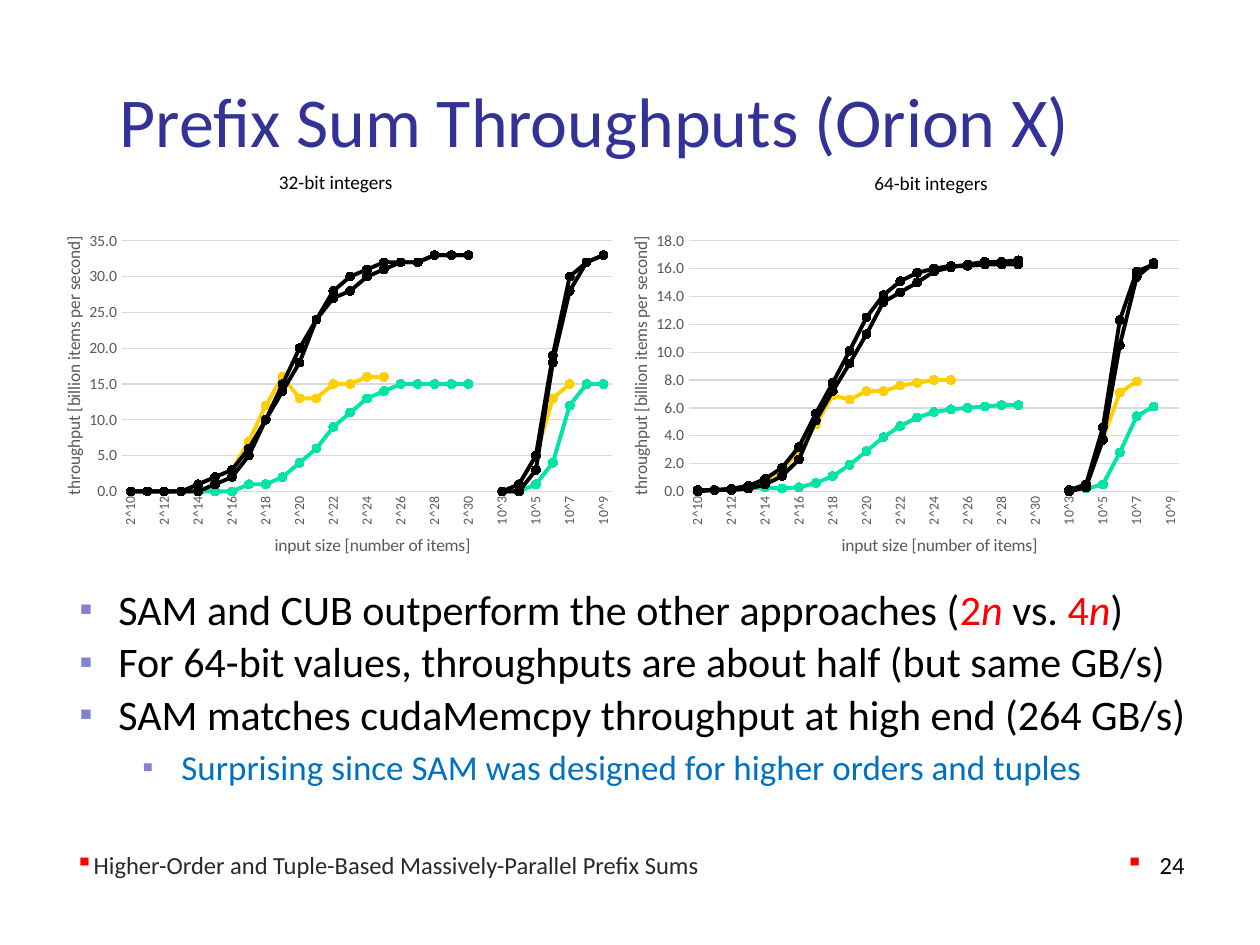
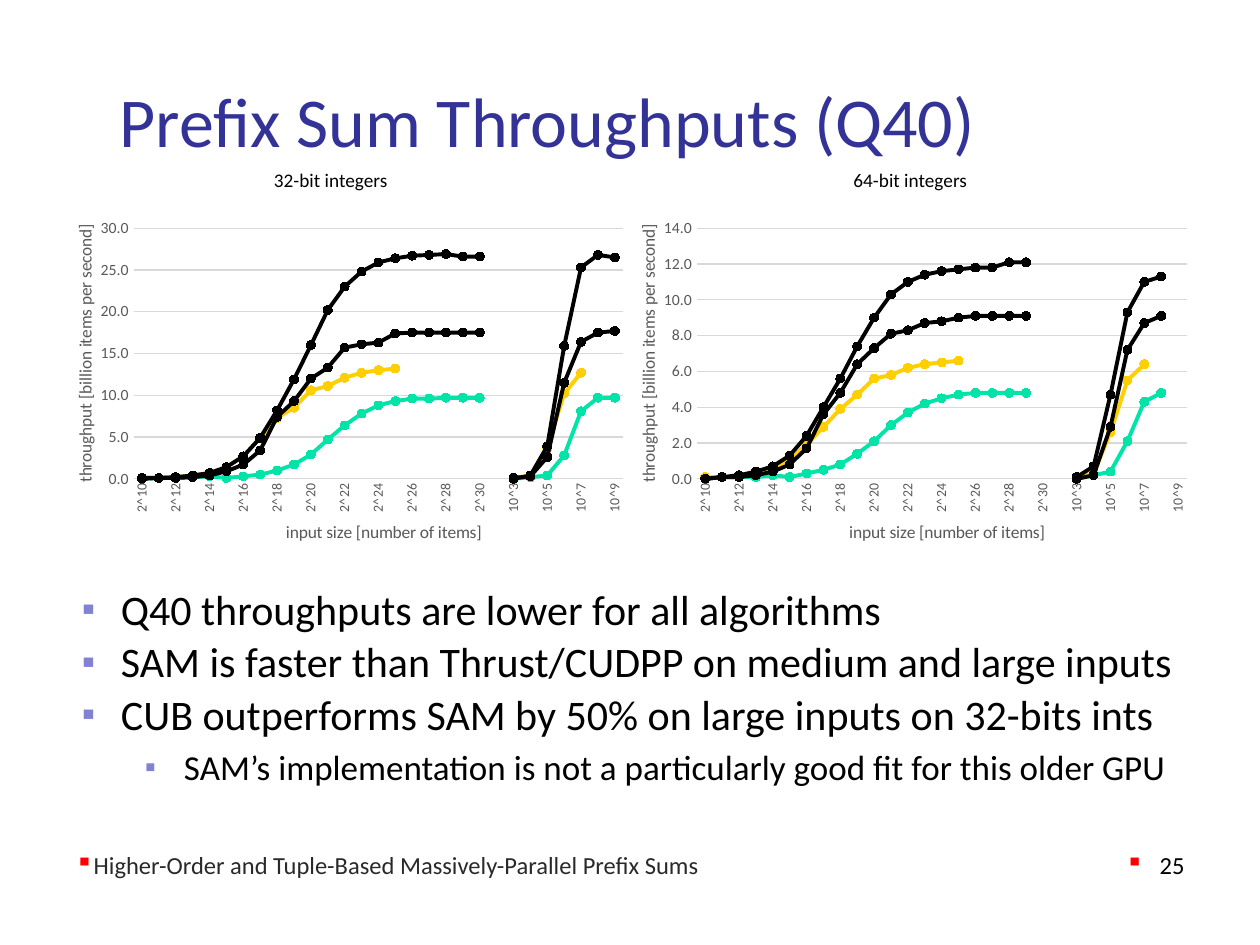
from pptx import Presentation
from pptx.chart.data import CategoryChartData
from pptx.dml.color import RGBColor
from pptx.enum.chart import XL_CHART_TYPE as ChartType, XL_MARKER_STYLE as Marker, XL_TICK_MARK as Tick
from pptx.enum.text import MSO_ANCHOR as Anchor, MSO_AUTO_SIZE as AutoSize, PP_ALIGN as Align
from pptx.oxml.ns import qn
from pptx.oxml.xmlchemy import OxmlElement
from pptx.util import Inches, Pt

FONT = "Calibri"
TITLE, BLACK, FOOTER = "333397", "000000", "292929"
RED, BLUE, BULLET = "FF0000", "0070C0", "8282D4"
AXIS_TEXT, GRID = "595959", "D9D9D9"
FOOTER_TEXT = "Higher-Order and Tuple-Based Massively-Parallel Prefix Sums"

SERIES_COLORS = {"THRUST": "00E4A8", "CUDPP": "FFCF01", "CUB": BLACK, "SAM": BLACK}
SIZES = [f"2^{n}" for n in range(10, 31)] + [""] + [f"10^{n}" for n in range(3, 10)]
CHART_SIZE = Inches(4.59), Inches(2.85)
PLOT_AREA = {"layoutTarget": "inner", "xMode": "edge", "yMode": "edge",
             "x": 0.122, "y": 0.111, "w": 0.847, "h": 0.708}
SIZE_TITLE_PLACE = {"xMode": "edge", "yMode": "edge", "x": 0.38, "y": 0.93}
RATE_TITLE_PLACE = {"xMode": "edge", "yMode": "edge", "x": 0.013, "y": 0.1}


def color(value):
    return RGBColor.from_string(value)


def measured(powers_of_two, powers_of_ten):
    """Pad both size ranges with gaps so that they line up with SIZES."""
    return (powers_of_two + [None] * (22 - len(powers_of_two))
            + powers_of_ten + [None] * (7 - len(powers_of_ten)))


ORION_32 = {
    "THRUST": measured([0, 0, 0, 0, 0, 0, 0, 1, 1, 2, 4, 6, 9, 11, 13, 14, 15, 15, 15, 15, 15],
                       [0, 0, 1, 4, 12, 15, 15]),
    "CUDPP": measured([0, 0, 0, 0, 1, 2, 3, 7, 12, 16, 13, 13, 15, 15, 16, 16],
                      [0, 1, 5, 13, 15]),
    "CUB": measured([0, 0, 0, 0, 1, 2, 3, 6, 10, 15, 20, 24, 28, 30, 31, 32, 32, 32, 33, 33, 33],
                    [0, 1, 5, 19, 30, 32, 33]),
    "SAM": measured([0, 0, 0, 0, 0, 1, 2, 5, 10, 14, 18, 24, 27, 28, 30, 31, 32, 32, 33, 33, 33],
                    [0, 0, 3, 18, 28, 32, 33]),
}
ORION_64 = {
    "THRUST": measured([0.1, 0.1, 0.1, 0.2, 0.3, 0.2, 0.3, 0.6, 1.1, 1.9, 2.9, 3.9, 4.7,
                        5.3, 5.7, 5.9, 6, 6.1, 6.2, 6.2], [0.1, 0.2, 0.5, 2.8, 5.4, 6.1]),
    "CUDPP": measured([0.1, 0.1, 0.2, 0.4, 0.8, 1.5, 2.9, 4.8, 6.9, 6.6, 7.2, 7.2, 7.6,
                       7.8, 8, 8], [0.1, 0.4, 3.8, 7.1, 7.9]),
    "CUB": measured([0.1, 0.1, 0.2, 0.4, 0.9, 1.7, 3.2, 5.6, 7.8, 10.1, 12.5, 14.1, 15.1,
                     15.7, 16, 16.2, 16.2, 16.3, 16.3, 16.3],
                    [0.1, 0.5, 4.6, 12.3, 15.8, 16.3]),
    "SAM": measured([0, 0.1, 0.1, 0.2, 0.5, 1.1, 2.3, 5.1, 7.2, 9.2, 11.3, 13.6, 14.3, 15,
                     15.8, 16.1, 16.3, 16.5, 16.5, 16.6], [0, 0.3, 3.7, 10.5, 15.4, 16.4]),
}
Q40_32 = {
    "THRUST": measured([0, 0.1, 0.1, 0.2, 0.3, 0.1, 0.3, 0.5, 1, 1.7, 2.9, 4.7, 6.4, 7.8,
                        8.8, 9.3, 9.6, 9.6, 9.7, 9.7, 9.7],
                       [0, 0.2, 0.4, 2.8, 8.1, 9.7, 9.7]),
    "CUDPP": measured([0.1, 0.1, 0.2, 0.4, 0.7, 1.4, 2.7, 4.9, 7.3, 8.5, 10.6, 11.1, 12.1,
                       12.7, 13, 13.2], [0.1, 0.4, 3.7, 10.2, 12.7]),
    "CUB": measured([0, 0.1, 0.2, 0.4, 0.7, 1.4, 2.7, 4.9, 8.2, 11.9, 16, 20.2, 23, 24.8,
                     25.9, 26.4, 26.7, 26.8, 26.9, 26.6, 26.6],
                    [0, 0.4, 3.9, 15.9, 25.3, 26.8, 26.5]),
    "SAM": measured([0.1, 0.1, 0.1, 0.2, 0.4, 0.9, 1.7, 3.4, 7.4, 9.3, 12, 13.3, 15.7,
                     16.1, 16.3, 17.4, 17.5, 17.5, 17.5, 17.5, 17.5],
                    [0.1, 0.3, 2.6, 11.5, 16.4, 17.5, 17.7]),
}
Q40_64 = {
    "THRUST": measured([0, 0.1, 0.1, 0.1, 0.2, 0.1, 0.3, 0.5, 0.8, 1.4, 2.1, 3, 3.7, 4.2,
                        4.5, 4.7, 4.8, 4.8, 4.8, 4.8], [0, 0.2, 0.4, 2.1, 4.3, 4.8]),
    "CUDPP": measured([0.1, 0.1, 0.1, 0.3, 0.6, 1.1, 1.9, 2.9, 3.9, 4.7, 5.6, 5.8, 6.2,
                       6.4, 6.5, 6.6], [0.1, 0.3, 2.6, 5.5, 6.4]),
    "CUB": measured([0, 0.1, 0.2, 0.4, 0.7, 1.3, 2.4, 4, 5.6, 7.4, 9, 10.3, 11, 11.4, 11.6,
                     11.7, 11.8, 11.8, 12.1, 12.1], [0.1, 0.7, 4.7, 9.3, 11, 11.3]),
    "SAM": measured([0, 0.1, 0.1, 0.2, 0.4, 0.8, 1.7, 3.6, 4.8, 6.4, 7.3, 8.1, 8.3, 8.7,
                     8.8, 9, 9.1, 9.1, 9.1, 9.1], [0, 0.2, 2.9, 7.2, 8.7, 9.1]),
}


def style_font(font, size, hue):
    font.name, font.size, font.bold = FONT, Pt(size), False
    font.color.rgb = color(hue)


def add_span(para, text, size, hue=BLACK, italic=False):
    span = para.add_run()
    span.text = text
    style_font(span.font, size, hue)
    span.font.italic = italic


def set_bullet(para, hue, percent, margin, hanging):
    props = para._p.get_or_add_pPr()
    props.set("marL", str(Inches(margin)))
    props.set("indent", str(-Inches(hanging)))
    bullet_color = OxmlElement("a:buClr")
    rgb = OxmlElement("a:srgbClr")
    rgb.set("val", hue)
    bullet_color.append(rgb)
    size = OxmlElement("a:buSzPct")
    size.set("val", str(percent * 1000))
    char = OxmlElement("a:buChar")
    char.set("char", "▪")
    for part in (bullet_color, size, char):
        props.append(part)


def set_layout(parent, index, settings):
    """Give a chart part a manual layout, as its child number index."""
    for old in parent.findall(qn("c:layout")):
        parent.remove(old)
    layout, manual = OxmlElement("c:layout"), OxmlElement("c:manualLayout")
    layout.append(manual)
    for name, value in settings.items():
        item = OxmlElement(f"c:{name}")
        item.set("val", str(value))
        manual.append(item)
    parent.insert(index, layout)


def label_every_second(axis):
    """Turn the category labels upright and show every other one."""
    axis._element.find(qn("c:txPr")).find(qn("a:bodyPr")).set("rot", "-5400000")
    skip = OxmlElement("c:tickLblSkip")
    skip.set("val", "2")
    axis._element.find(qn("c:noMultiLvlLbl")).addprevious(skip)


def style_axis(axis, title, place, label_size):
    axis.major_tick_mark = axis.minor_tick_mark = Tick.NONE
    style_font(axis.tick_labels.font, label_size, AXIS_TEXT)
    add_span(axis.axis_title.text_frame.paragraphs[0], title, 10, AXIS_TEXT)
    set_layout(axis._element.find(qn("c:title")), 1, place)


def style_rule(line):
    line.color.rgb = color(GRID)
    line.width = Pt(0.75)


class ThroughputDeck:
    def __init__(self):
        self.deck = Presentation()
        self.deck.slide_width, self.deck.slide_height = Inches(10), Inches(7.5)
        self.page = None

    def new_page(self, title, number):
        self.page = self.deck.slides.add_slide(self.deck.slide_layouts[1])
        self.title(title)
        para = self.text_box(0.5, 6.53, 6, 0.5, Anchor.BOTTOM)
        add_span(para, FOOTER_TEXT, 14, FOOTER)
        set_bullet(para, RED, 100, 0, 0.06)
        para = self.text_box(7.42, 6.53, 2.08, 0.5, Anchor.BOTTOM)
        para.alignment = Align.RIGHT
        add_span(para, str(number), 14)
        set_bullet(para, RED, 100, 0.27, 0.27)

    def title(self, text):
        box = self.page.shapes.title
        box.left, box.top, box.width, box.height = map(Inches, (0.5, 0.6, 9, 0.7))
        frame = box.text_frame
        frame.margin_left = Inches(0.45)
        frame.vertical_anchor = Anchor.MIDDLE
        frame.auto_size = AutoSize.NONE
        frame.paragraphs[0].alignment = Align.LEFT
        add_span(frame.paragraphs[0], text, 40, TITLE)

    def text_box(self, left, top, width, height, anchor=Anchor.TOP):
        """Add an empty box and return its first paragraph."""
        box = self.page.shapes.add_textbox(*map(Inches, (left, top, width, height)))
        box.text_frame.word_wrap = True
        box.text_frame.vertical_anchor = anchor
        return box.text_frame.paragraphs[0]

    def caption(self, text, left, top, width=4.67):
        para = self.text_box(left, top, width, 0.28)
        para.alignment = Align.CENTER
        para.line_spacing = Pt(12)
        add_span(para, text, 11)

    def bullets(self, left, points, detail):
        """Fill the body: points are lists of spans, detail is one sub-point."""
        box = self.page.placeholders[1]
        box.left, box.top, box.width, box.height = map(Inches, (left, 4.58, 9.95, 1.75))
        frame = box.text_frame
        frame.auto_size = AutoSize.NONE
        rows = [(0, 24, spans) for spans in points] + [(1, 20, [detail])]
        for index, (level, size, spans) in enumerate(rows):
            para = frame.add_paragraph() if index else frame.paragraphs[0]
            para.level = level
            para.space_before = Pt((1.2, 4)[level])
            set_bullet(para, BULLET, 90, 0.81 + 0.5 * level, 0.31)
            for span in spans:
                add_span(para, span[0], size, *span[1:])

    def line_chart(self, left, top, table, maximum, step):
        data = CategoryChartData(number_format="0.0")
        data.categories = SIZES
        for name, values in table.items():
            data.add_series(name, values)
        chart = self.page.shapes.add_chart(
            ChartType.LINE_MARKERS, Inches(left), Inches(top), *CHART_SIZE, data).chart
        style_font(chart.font, 10, BLACK)
        chart.has_title = chart.has_legend = False
        chart.plots[0].vary_by_categories = False
        set_layout(chart._chartSpace.chart.plotArea, 0, PLOT_AREA)

        style_axis(chart.category_axis, "input size [number of items]", SIZE_TITLE_PLACE, 8)
        style_rule(chart.category_axis.format.line)
        label_every_second(chart.category_axis)

        axis = chart.value_axis
        style_axis(axis, "throughput [billion items per second]", RATE_TITLE_PLACE, 9)
        axis.minimum_scale, axis.maximum_scale, axis.major_unit = 0, maximum, step
        axis.tick_labels.number_format = "0.0"
        axis.tick_labels.number_format_is_linked = False
        axis.format.line.fill.background()
        style_rule(axis.major_gridlines.format.line)

        for series in chart.plots[0].series:
            hue = color(SERIES_COLORS[series.name])
            series.smooth = False
            series.format.line.color.rgb = hue
            series.format.line.width = Pt(2.25)
            series.marker.style, series.marker.size = Marker.CIRCLE, 5
            series.marker.format.fill.solid()
            series.marker.format.fill.fore_color.rgb = hue
            series.marker.format.line.color.rgb = hue


def main():
    show = ThroughputDeck()

    show.new_page("Prefix Sum Throughputs (Orion X)", 24)
    show.caption("32-bit integers", 0.33, 1.32)
    show.caption("64-bit integers", 4.89, 1.33, 5)
    show.bullets(
        0.03,
        [[("SAM and CUB outperform the other approaches (",), ("2", RED), ("n ", RED, True),
          ("vs. ",), ("4", RED), ("n", RED, True), (")",)],
         [("For 64-bit values, throughputs are about half (but same GB/s)",)],
         [("SAM matches cudaMemcpy throughput at high end (264 GB/s)",)]],
        ("Surprising since SAM was designed for higher orders and tuples", BLUE))
    show.line_chart(0.41, 1.6, ORION_32, 35, 5)
    show.line_chart(4.91, 1.6, ORION_64, 18, 2)

    show.new_page("Prefix Sum Throughputs (Q40)", 25)
    show.caption("32-bit integers", 0.29, 1.3)
    show.caption("64-bit integers", 4.89, 1.3)
    show.bullets(
        0.05,
        [[("Q40 throughputs are lower for all algorithms",)],
         [("SAM is faster than Thrust/CUDPP on medium and large inputs",)],
         [("CUB outperforms SAM by 50% on large inputs on 32-bits ints",)]],
        ("SAM’s implementation is not a particularly good fit for this older GPU",))
    show.line_chart(0.5, 1.5, Q40_32, 30, 5)
    show.line_chart(4.97, 1.5, Q40_64, 14, 2)

    show.deck.save("out.pptx")


if __name__ == "__main__":
    main()
